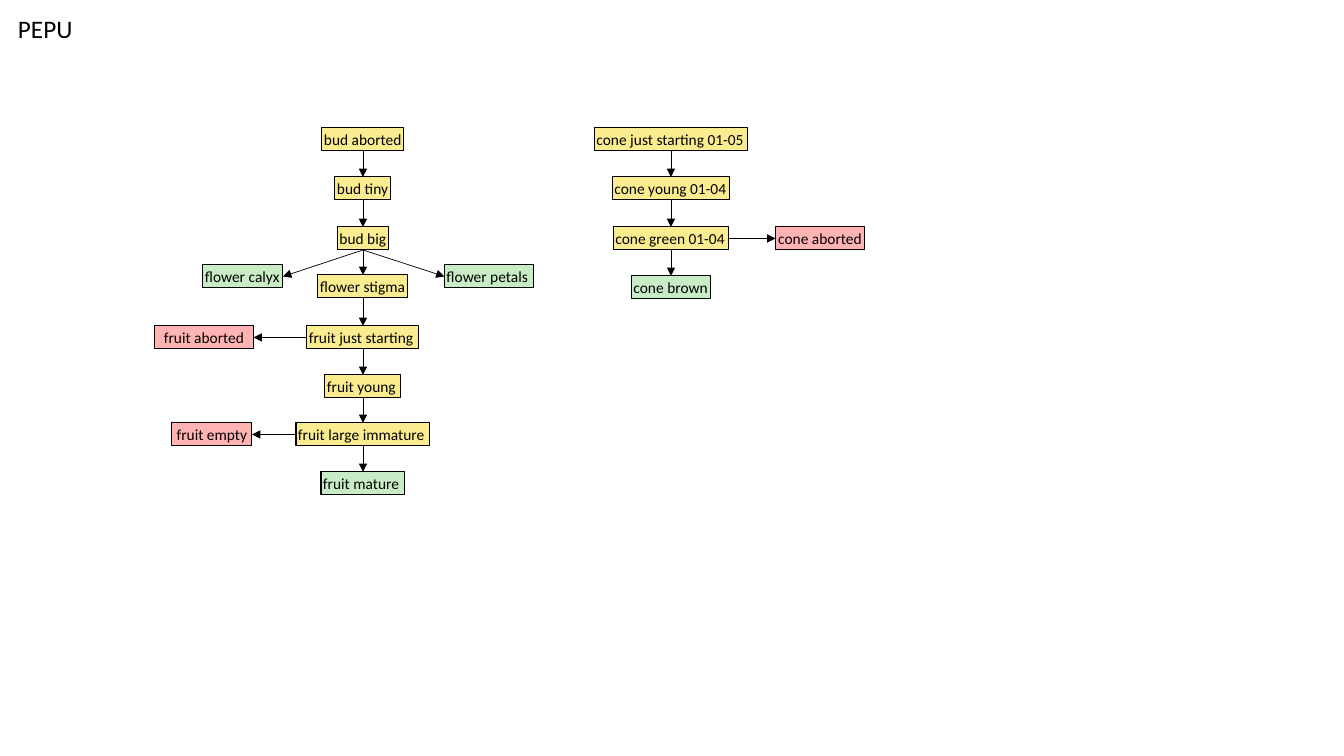
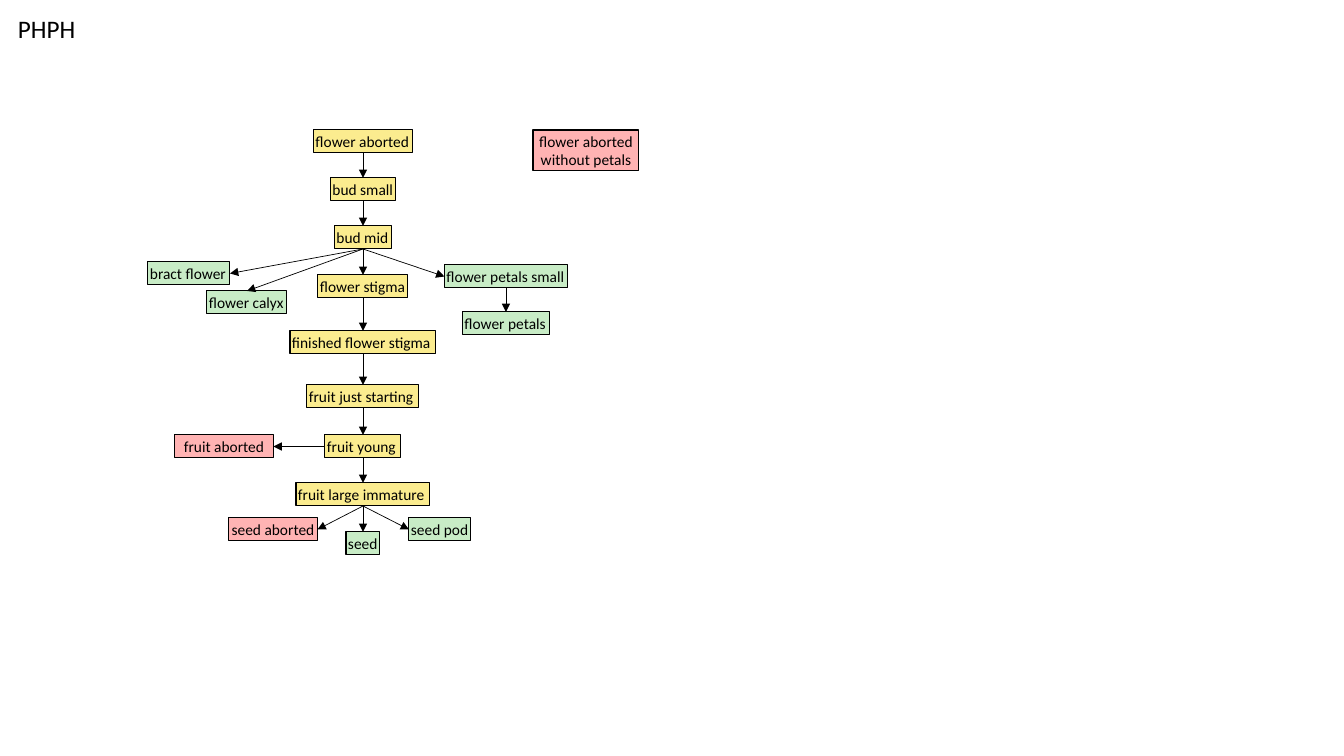
import dataclasses
import typing

import lxml.etree
import pptx
import pptx.dml.color
import pptx.enum.shapes
import pptx.enum.text
import pptx.oxml.ns
import pptx.util

SCALE = 9144000 / 1008
FONT = "Calibri"
BLACK = "000000"
STAGE, FINAL, LOST = "FBEC8F", "C8ECC6", "FFB3B3"
TRUNK, CONE = 363, 671
TOP, LEFT, BASE, RIGHT = range(4)


@dataclasses.dataclass
class Node:
    text: str
    mid: int
    top: int
    width: int
    fill: str = STAGE
    height: int = 23


@dataclasses.dataclass
class Link:
    start: str
    end: str
    leave: int = BASE
    enter: int = TOP


@dataclasses.dataclass
class Chart:
    title: str
    nodes: list[Node]
    chains: list[list[str]]
    links: list[Link]


def px(length: float) -> int:
    return round(length * SCALE)


def paint(code: str) -> pptx.dml.color.RGBColor:
    return pptx.dml.color.RGBColor.from_string(code)


def write(shape: typing.Any, text: str, size: int = 11, centred: bool = False,
          pad: tuple[int, int, int, int] = (2, 2, 0, 2)) -> None:
    frame = shape.text_frame
    frame.word_wrap = True
    frame.vertical_anchor = pptx.enum.text.MSO_ANCHOR.MIDDLE
    frame.margin_left, frame.margin_top, frame.margin_right, frame.margin_bottom = map(px, pad)
    para = frame.paragraphs[0]
    align = pptx.enum.text.PP_ALIGN
    para.alignment = align.CENTER if centred else align.LEFT
    run = para.add_run()
    run.text = text
    run.font.name = FONT
    run.font.size = pptx.util.Pt(size)
    run.font.color.rgb = paint(BLACK)


def box(slide: typing.Any, node: Node) -> typing.Any:
    shape = slide.shapes.add_shape(
        pptx.enum.shapes.MSO_SHAPE.RECTANGLE,
        px(node.mid - node.width / 2), px(node.top), px(node.width), px(node.height))
    shape.shadow.inherit = False
    shape.fill.solid()
    shape.fill.fore_color.rgb = paint(node.fill)
    shape.line.color.rgb = paint(BLACK)
    shape.line.width = pptx.util.Pt(0.75)
    lost = node.fill == LOST
    write(shape, node.text, centred=lost, pad=(2, 2, 2 if lost else 0, 2))
    return shape


def arrow(slide: typing.Any, boxes: dict[str, typing.Any], link: Link) -> None:
    line = slide.shapes.add_connector(pptx.enum.shapes.MSO_CONNECTOR.STRAIGHT, 0, 0, 0, 0)
    line.begin_connect(boxes[link.start], link.leave)
    line.end_connect(boxes[link.end], link.enter)
    line.line.color.rgb = paint(BLACK)
    line.line.width = pptx.util.Pt(0.5)
    name = pptx.oxml.ns.qn
    lxml.etree.SubElement(line.line._get_or_add_ln(), name("a:tailEnd"), type="triangle")
    lxml.etree.SubElement(line._element.spPr, name("a:effectLst"))


def draw(deck: typing.Any, chart: Chart) -> None:
    slide = deck.slides.add_slide(deck.slide_layouts[6])
    title = slide.shapes.add_textbox(px(8), px(8), px(80), px(40))
    write(title, chart.title, size=18, pad=(10, 5, 10, 5))
    boxes = {node.text: box(slide, node) for node in chart.nodes}
    steps = [Link(*pair) for chain in chart.chains for pair in zip(chain, chain[1:])]
    for link in steps + chart.links:
        arrow(slide, boxes, link)


CHARTS = [
    Chart(
        "PEPU",
        [
            Node("cone just starting 01-05", CONE, 128, 153),
            Node("cone young 01-04", CONE, 177, 117),
            Node("cone green 01-04", CONE, 227, 115),
            Node("cone brown", CONE, 276, 79, FINAL),
            Node("cone aborted", 820, 227, 89, LOST),
            Node("bud aborted", TRUNK, 128, 82),
            Node("bud tiny", TRUNK, 177, 56),
            Node("bud big", TRUNK, 227, 51),
            Node("flower stigma", TRUNK, 275, 90),
            Node("fruit just starting", TRUNK, 326, 112),
            Node("fruit young", TRUNK, 375, 76),
            Node("fruit large immature", TRUNK, 423, 134),
            Node("fruit mature", TRUNK, 472, 84, FINAL),
            Node("flower calyx", 243, 265, 80, FINAL),
            Node("flower petals", 489, 265, 89, FINAL),
            Node("fruit aborted", 204, 326, 99, LOST),
            Node("fruit empty", 212, 423, 80, LOST),
        ],
        [
            ["cone just starting 01-05", "cone young 01-04", "cone green 01-04", "cone brown"],
            ["bud aborted", "bud tiny", "bud big", "flower stigma", "fruit just starting",
             "fruit young", "fruit large immature", "fruit mature"],
        ],
        [
            Link("cone green 01-04", "cone aborted", RIGHT, LEFT),
            Link("bud big", "flower calyx", enter=RIGHT),
            Link("bud big", "flower petals", enter=LEFT),
            Link("fruit just starting", "fruit aborted", LEFT, RIGHT),
            Link("fruit large immature", "fruit empty", LEFT, RIGHT),
        ],
    ),
    Chart(
        "PHPH",
        [
            Node("flower aborted", TRUNK, 130, 99),
            Node("bud small", TRUNK, 178, 65),
            Node("bud mid", TRUNK, 226, 57),
            Node("flower stigma", TRUNK, 275, 90),
            Node("finished flower stigma", TRUNK, 331, 146),
            Node("fruit just starting", TRUNK, 385, 112),
            Node("fruit young", TRUNK, 435, 76),
            Node("fruit large immature", TRUNK, 483, 134),
            Node("seed", TRUNK, 532, 34, FINAL),
            Node("bract flower", 189, 262, 82, FINAL),
            Node("flower calyx", 247, 291, 80, FINAL),
            Node("flower petals small", 506, 265, 123, FINAL),
            Node("flower petals", 506, 312, 87, FINAL),
            Node("fruit aborted", 224, 435, 99, LOST),
            Node("seed aborted", 273, 518, 89, LOST),
            Node("seed pod", 440, 518, 62, FINAL),
            Node("flower aborted without petals", 586, 130, 106, LOST, 41),
        ],
        [
            ["flower aborted", "bud small", "bud mid", "flower stigma", "finished flower stigma",
             "fruit just starting", "fruit young", "fruit large immature", "seed"],
            ["flower petals small", "flower petals"],
        ],
        [
            Link("bud mid", "bract flower", enter=RIGHT),
            Link("bud mid", "flower calyx"),
            Link("bud mid", "flower petals small", enter=LEFT),
            Link("fruit young", "fruit aborted", LEFT, RIGHT),
            Link("fruit large immature", "seed aborted", enter=RIGHT),
            Link("fruit large immature", "seed pod", enter=LEFT),
        ],
    ),
]

deck = pptx.Presentation()
deck.slide_width, deck.slide_height = px(1344), px(756)
for chart in CHARTS:
    draw(deck, chart)
deck.save("out.pptx")
